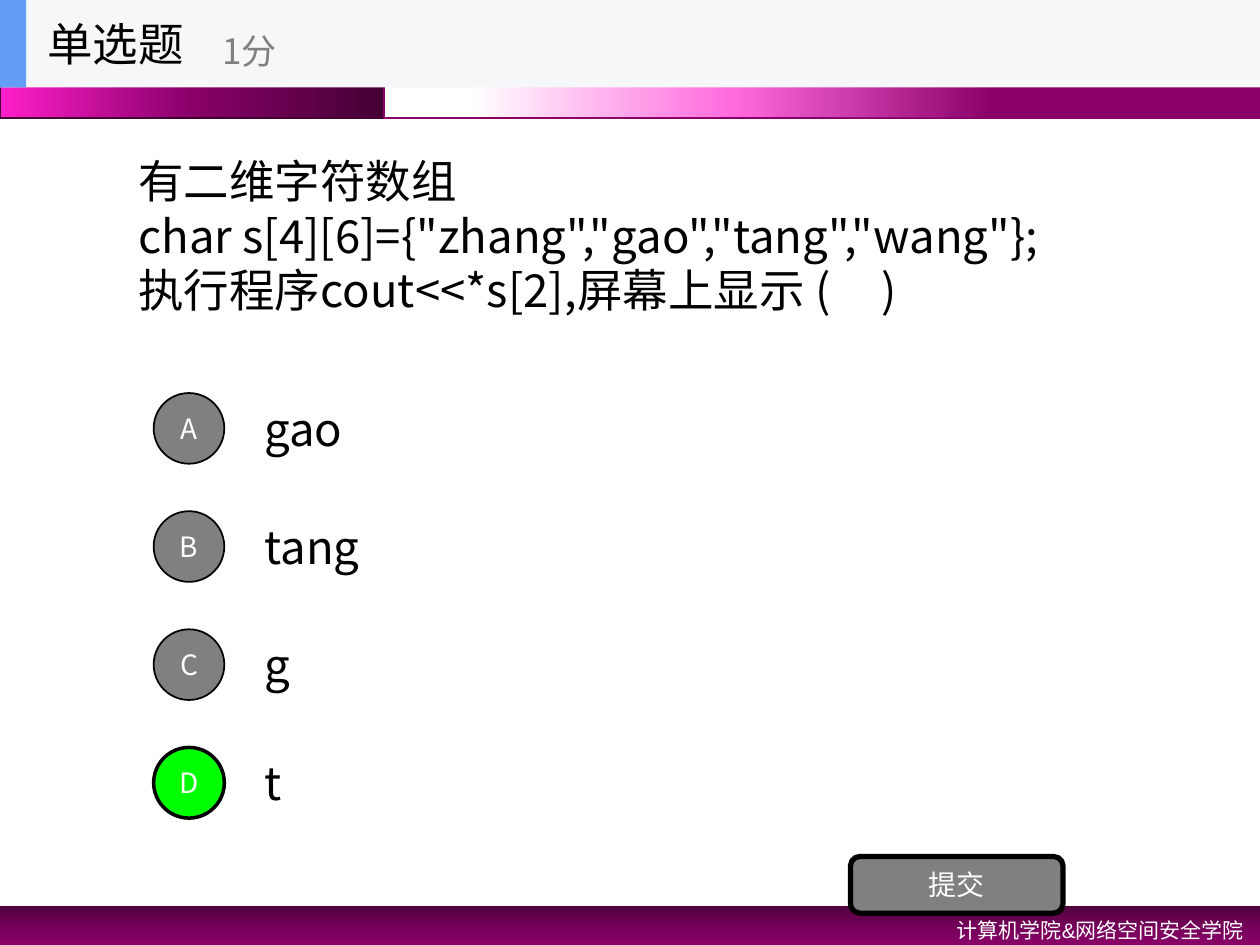
"""Build a single-choice quiz slide about a two-dimensional character array."""
from lxml import etree
from pptx import Presentation
from pptx.dml.color import RGBColor
from pptx.enum import shapes, text
from pptx.oxml import ns
from pptx.util import Pt

FONT = "Noto Sans CJK SC"
BLACK, WHITE, GRAY, GREEN = "000000", "FFFFFF", "808080", "00FF00"
PURPLE, DARK = "880068", "440034"
RECT = shapes.MSO_SHAPE.RECTANGLE
LEFT, CENTER, RIGHT = text.PP_ALIGN.LEFT, text.PP_ALIGN.CENTER, text.PP_ALIGN.RIGHT


def draw(parent, kind, at, fill, line=None, weight=1, angle=180):
    """Add a preset shape; a list of (percent, colour) stops gives a gradient."""
    shape = parent.shapes.add_shape(kind, *map(Pt, at))
    shape.shadow.inherit = False
    if isinstance(fill, list):
        shape.fill.gradient()
        shape.fill.gradient_angle = angle
        stops = shape._element.spPr.find(".//" + ns.qn("a:gsLst"))
        for stop in list(stops):
            stops.remove(stop)
        for percent, color in fill:
            stop = etree.SubElement(stops, ns.qn("a:gs"), pos=str(percent * 1000))
            etree.SubElement(stop, ns.qn("a:srgbClr"), val=color)
    else:
        shape.fill.solid()
        shape.fill.fore_color.rgb = RGBColor.from_string(fill)
    if line:
        shape.line.color.rgb = RGBColor.from_string(line)
        shape.line.width = Pt(weight)
    else:
        shape.line.fill.background()
    return shape


def write(box, content, size, color, align=LEFT, font=FONT):
    """Fill a shape with vertically centred text in one style."""
    frame = box.text_frame
    frame.text = content
    frame.word_wrap = True
    frame.vertical_anchor = text.MSO_ANCHOR.MIDDLE
    for para in frame.paragraphs:
        para.alignment = align
        for span in para.runs:
            span.font.size = Pt(size)
            span.font.name = font
            span.font.color.rgb = RGBColor.from_string(color)
            etree.SubElement(span.font._element, ns.qn("a:ea"), typeface=FONT)


deck = Presentation()
deck.slide_width, deck.slide_height = Pt(720), Pt(540)
page = deck.slides.add_slide(deck.slide_layouts[6])

draw(page, RECT, (0, 517.7, 720, 22.3),
     [(0, "51003E"), (50, "730058"), (100, PURPLE)], angle=270)
draw(page, RECT, (0, 0, 219.6, 67.5),
     [(0, DARK), (50, PURPLE), (100, "FF1FCA")], DARK)
draw(page, RECT, (219.6, 0, 500.4, 67.5),
     [(30, PURPLE), (60, "FF69DC"), (90, WHITE)], PURPLE)

footer = page.shapes.add_textbox(Pt(462.2), Pt(517.7), Pt(255.6), Pt(23))
write(footer, "计算机学院&网络空间安全学院", 12, WHITE, RIGHT, "Arial")
footer.text_frame.vertical_anchor = text.MSO_ANCHOR.TOP
footer.text_frame.paragraphs[0].line_spacing = 1.2

question = page.shapes.add_textbox(Pt(72), Pt(50), Pt(638), Pt(168.5))
write(question, "\n".join((
    "有二维字符数组",
    'char s[4][6]={"zhang","gao","tang","wang"};',
    "执行程序cout<<*s[2],屏幕上显示 (     )",
)), 26, BLACK)

correct = "D"
for row, (letter, answer) in enumerate(zip("ABCD", ("gao", "tang", "g", "t"))):
    middle = 244.8 + row * 67.5
    option = page.shapes.add_textbox(Pt(144), Pt(middle - 25.2), Pt(504), Pt(50.4))
    write(option, answer, 26, BLACK)
    fill, weight = (GREEN, 2) if letter == correct else (GRAY, 1)
    badge = draw(page, shapes.MSO_SHAPE.OVAL, (87.8, middle - 20.2, 40.4, 40.4),
                 fill, BLACK, weight)
    write(badge, letter, 16, WHITE, CENTER)

submit = draw(page, shapes.MSO_SHAPE.ROUNDED_RECTANGLE, (486, 489.4, 121.5, 32.4),
              GRAY, BLACK, 3)
write(submit, "提交", 16, WHITE, CENTER)

header = page.shapes.add_group_shape()
draw(header, RECT, (0, 0, 720, 50), "F6F7F8")
draw(header, RECT, (0, 0, 15, 50), "639EF4")
title = header.shapes.add_textbox(Pt(20), Pt(0), Pt(150), Pt(50))
write(title, "单选题", 26, BLACK)
score = header.shapes.add_textbox(Pt(120), Pt(8.6), Pt(180), Pt(40.4))
write(score, "1分", 20, GRAY)

deck.save("out.pptx")
